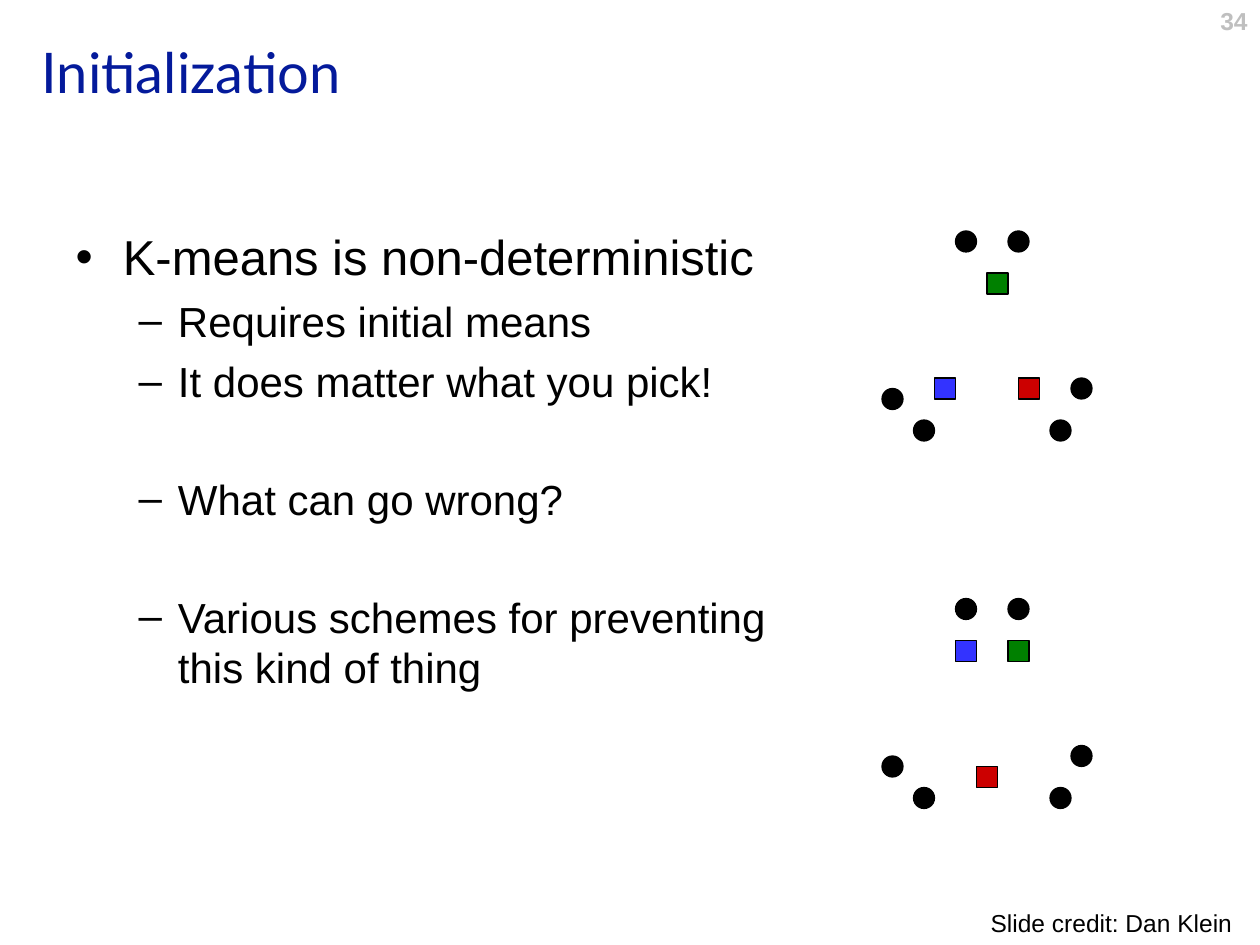
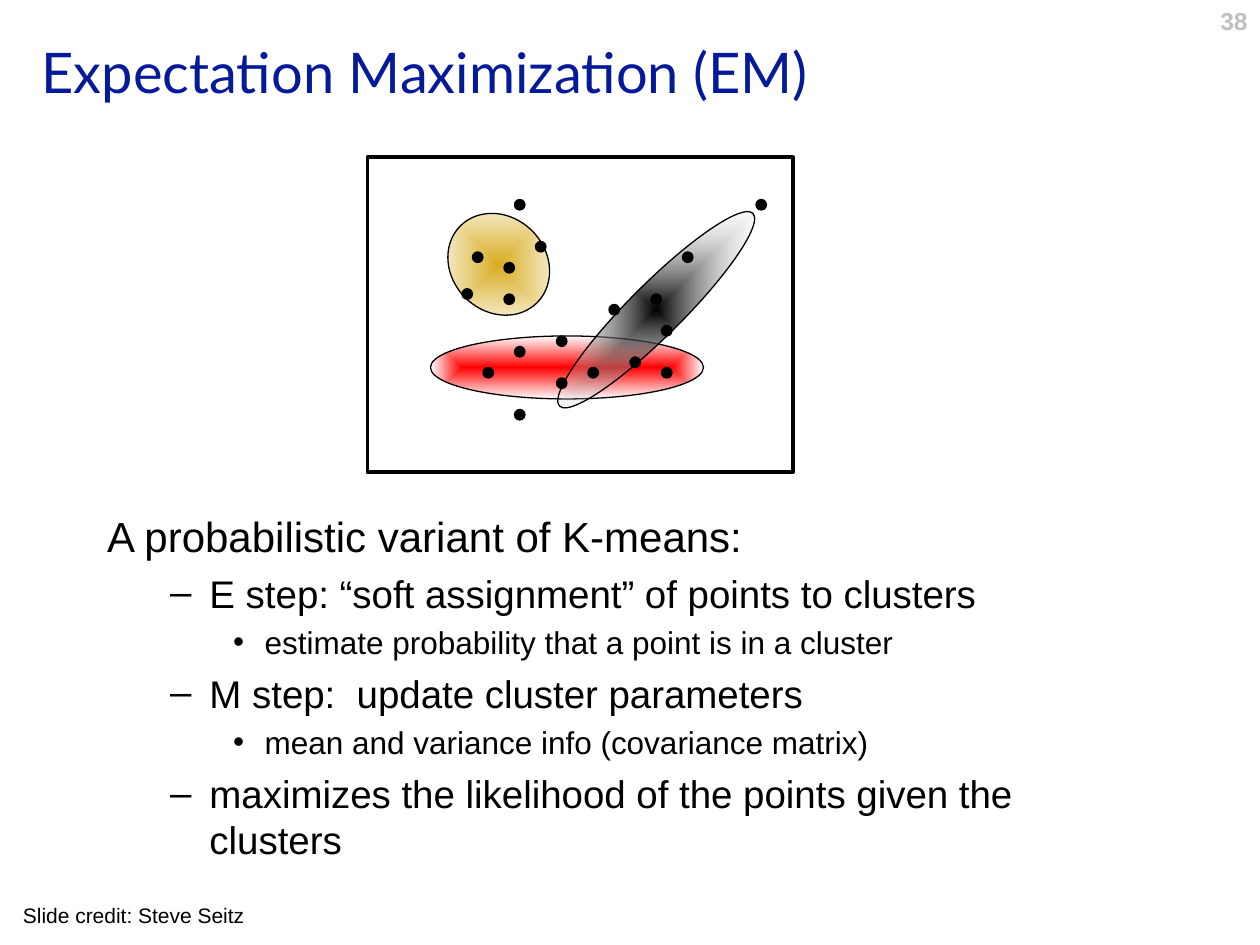
from dataclasses import dataclass
from lxml.etree import SubElement as Sub
from pptx import Presentation
from pptx.dml.color import RGBColor as Rgb
from pptx.enum.shapes import MSO_SHAPE as Kind
from pptx.enum.text import MSO_ANCHOR as Anchor, MSO_AUTO_SIZE as Fit, PP_ALIGN as Align
from pptx.oxml.ns import qn
from pptx.util import Pt


@dataclass(frozen=True)
class Theme:
    ink: str = "000000"
    title: str = "041A9B"
    page: str = "BFBFBF"
    red: str = "CC0000"
    blue: str = "3333FF"
    green: str = "008000"
    hot: str = "FF0000"
    gold: str = "D8AC21"
    white: str = "FFFFFF"
    head: str = "Lato"
    text: str = "Arial"
    big: float = 32
    small: float = 14
    thin: float = 0.75
    thick: float = 2.25
    lead: float = 0.23


T = Theme()
UNIT = 6
INDENT = [(27, -27), (58.5, -22.5), (90, -18)]
MARK = ["•", "–", "•"]
DOTS = [(0, 15), (3, 18), (12, 0), (16, 18), (18, 14), (7, 0)]
CLOUD = [
    (11, 20), (14, 18), (14, 24), (18, 17), (18, 21), (21, 20), (25, 19),
    (28, 20), (23, 14), (28, 16), (27, 13), (30, 9), (37, 4), (10, 9),
    (9, 12.5), (13, 10), (14, 4), (13, 13), (16, 8),
]


def write(para, text, size=T.small, font=T.text, color=T.ink, bold=False, align=Align.LEFT):
    para.alignment = align
    run = para.add_run()
    run.text = text
    run.font.size = Pt(size)
    run.font.name = font
    run.font.bold = bold
    run.font.color.rgb = Rgb.from_string(color)


def move(shape, box):
    shape.left, shape.top, shape.width, shape.height = map(Pt, box)


def label(slide, box, text, **look):
    frame = slide.shapes.add_textbox(*map(Pt, box)).text_frame
    frame.word_wrap = True
    write(frame.paragraphs[0], text, **look)


def bullet(para, level, mark):
    para.level = level
    props = para._p.get_or_add_pPr()
    left, hang = INDENT[level]
    props.set("marL", str(Pt(left)))
    props.set("indent", str(Pt(hang)))
    if mark:
        Sub(props, qn("a:buFont"), typeface=T.text)
        Sub(props, qn("a:buChar"), char=mark)
    else:
        Sub(props, qn("a:buNone"))


def body(slide, box, rows):
    holder = slide.placeholders[1]
    move(holder, box)
    frame = holder.text_frame
    frame.auto_size = Fit.NONE
    frame.vertical_anchor = Anchor.TOP
    for i, (level, size, text, mark, gap) in enumerate(rows):
        para = frame.paragraphs[0] if i == 0 else frame.add_paragraph()
        bullet(para, level, mark)
        para.space_before = Pt(round(size * T.lead + gap, 2) if i else 0)
        write(para, text, size=size)


def shape(slide, kind, box, fill=None, line=T.thin):
    item = slide.shapes.add_shape(kind, *map(Pt, box))
    item.shadow.inherit = False
    item.line.color.rgb = Rgb.from_string(T.ink)
    item.line.width = Pt(line)
    if fill:
        item.fill.solid()
        item.fill.fore_color.rgb = Rgb.from_string(fill)
    else:
        item.fill.background()
    return item


def plot(slide, left, top, size, kind, spots, fill=T.ink):
    for x, y in spots:
        shape(slide, kind, (left + x * UNIT, top + y * UNIT, size, size), fill)


def glow(slide, box, color, turn=0, clear=False):
    item = shape(slide, Kind.OVAL, box)
    item.rotation = turn
    props = item._element.spPr
    old = props.find(qn("a:noFill"))
    grad = props.makeelement(qn("a:gradFill"), {"rotWithShape": "1"})
    props.replace(old, grad)
    stops = Sub(grad, qn("a:gsLst"))
    for pos, tone in (("0", color), ("100000", T.white)):
        stop = Sub(stops, qn("a:gs"), pos=pos)
        tint = Sub(stop, qn("a:srgbClr"), val=tone)
    if clear:
        Sub(tint, qn("a:alpha"), val="0")
    course = Sub(grad, qn("a:path"), path="shape")
    Sub(course, qn("a:fillToRect"), dict.fromkeys("ltrb", "50000"))


def start(deck, title, page):
    slide = deck.slides.add_slide(deck.slide_layouts[1])
    head = slide.shapes.title
    move(head, (16.5, 13, 687, 55))
    frame = head.text_frame
    frame.auto_size = Fit.NONE
    frame.vertical_anchor = Anchor.MIDDLE
    write(frame.paragraphs[0], title, size=T.big, font=T.head, color=T.title)
    label(slide, (552, 0, 168, 29), page, color=T.page, bold=True, align=Align.RIGHT)
    return slide


def means(slide, left, top, red, blue, green):
    plot(slide, left, top, 12, Kind.OVAL, DOTS)
    for spot, fill in ((red, T.red), (blue, T.blue), (green, T.green)):
        plot(slide, left, top, 12, Kind.RECTANGLE, [spot], fill)


def chart(slide, left, top):
    glow(slide, (left + 36, top + 102, 156, 36), T.hot)
    glow(slide, (left + 87, top + 72, 156, 30), T.ink, 315.1, True)
    glow(slide, (left + 44, top + 34, 62, 54), T.gold, 225.1)
    shape(slide, Kind.RECTANGLE, (left, top, 243, 180), line=T.thick)
    plot(slide, left, top, 6, Kind.OVAL, CLOUD)


def initial(deck):
    slide = start(deck, "Initialization", "34")
    skip = 33
    body(slide, (36, 126, 420, 356), [
        (0, 28, "K-means is non-deterministic", MARK[0], 0),
        (1, 24, "Requires initial means", MARK[1], 0),
        (1, 24, "It does matter what you pick!", MARK[1], 0),
        (1, 24, "What can go wrong?", MARK[1], skip),
        (1, 24, "Various schemes for preventing this kind of thing", MARK[1], skip),
    ])
    means(slide, 504, 132, red=(13, 14), blue=(5, 14), green=(10, 4))
    means(slide, 504, 342, red=(9, 16), blue=(7, 4), green=(12, 4))
    label(slide, (559, 515.5, 160, 24), "Slide credit: Dan Klein")


def expect(deck):
    slide = start(deck, "Expectation Maximization (EM)", "38")
    body(slide, (54, 288, 612, 234), [
        (0, 24, "A probabilistic variant of K-means:", None, 0),
        (1, 22, "E step: “soft assignment” of points to clusters", MARK[1], 0),
        (2, 18, "estimate probability that a point is in a cluster", MARK[2], 0),
        (1, 22, "M step:  update cluster parameters", MARK[1], 0),
        (2, 18, "mean and variance info (covariance matrix)", MARK[2], 0),
        (1, 22, "maximizes the likelihood of the points given the clusters", MARK[1], 0),
    ])
    chart(slide, 210, 90)
    label(slide, (6, 512, 160, 22), "Slide credit: Steve Seitz", size=12)


def main():
    deck = Presentation()
    deck.slide_width, deck.slide_height = Pt(720), Pt(540)
    initial(deck)
    expect(deck)
    deck.save("out.pptx")


if __name__ == "__main__":
    main()
